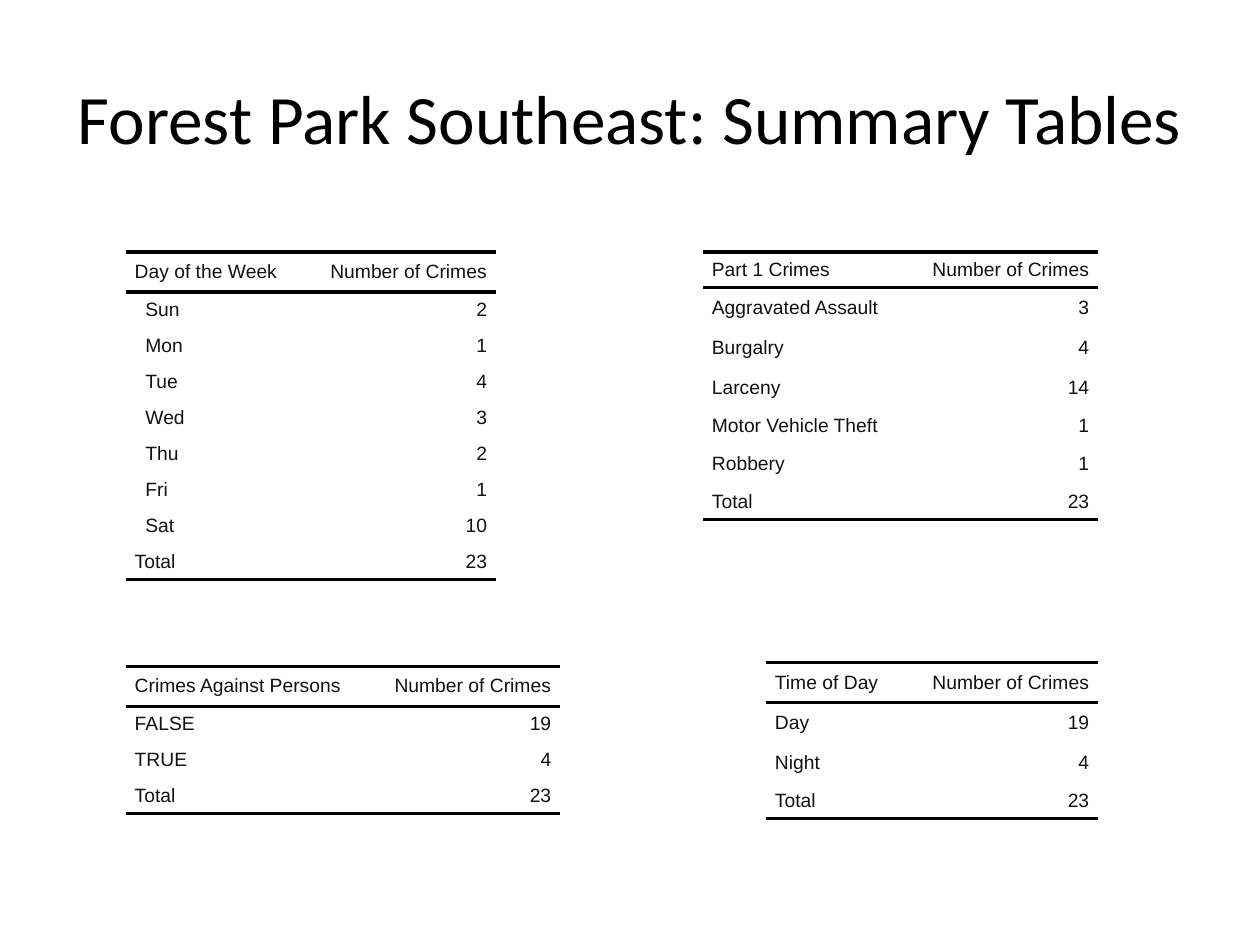
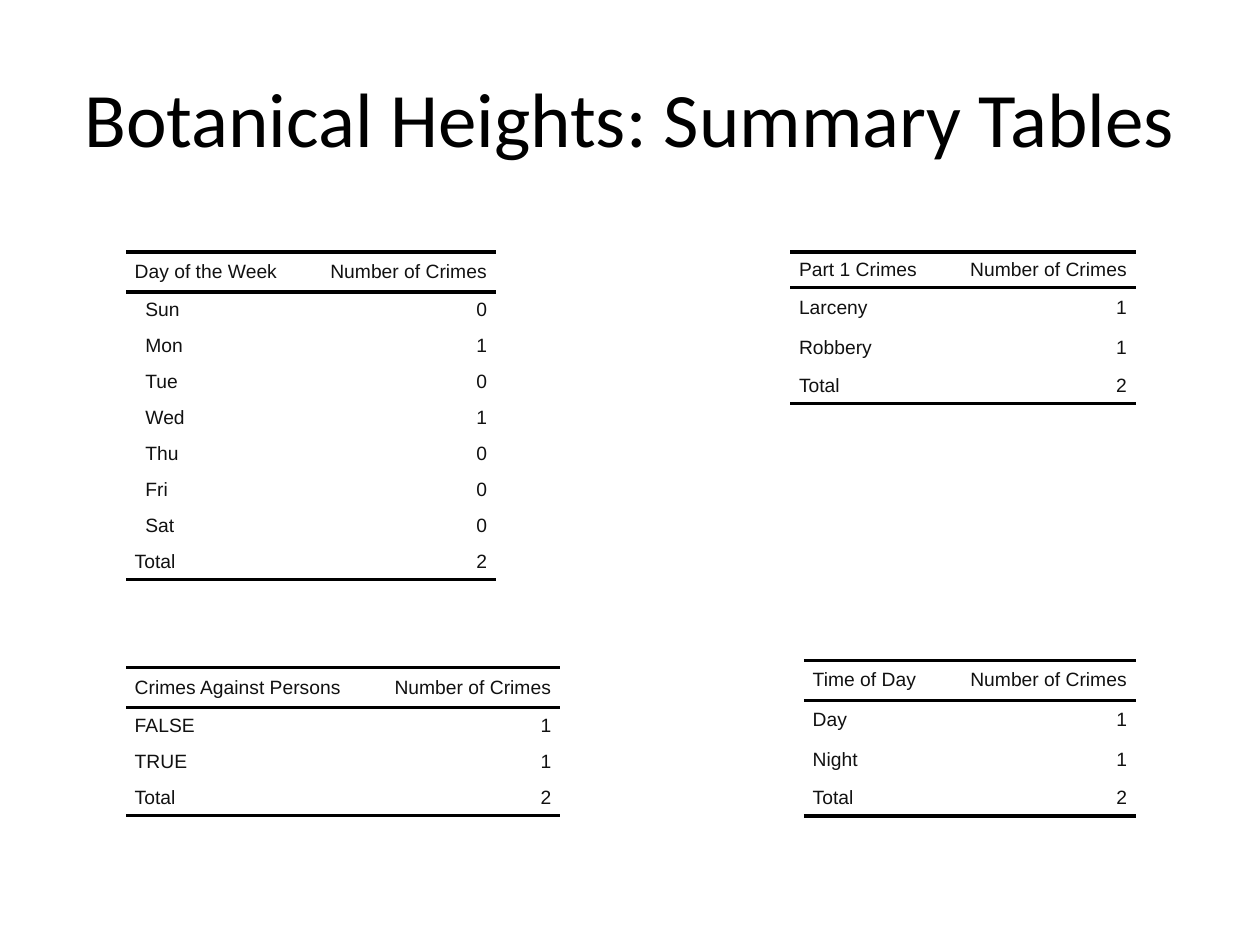
import pptx
import pptx.dml.color
import pptx.enum.text
import pptx.oxml.ns
import pptx.util
from lxml import etree

Pt = pptx.util.Pt
ALIGN = pptx.enum.text.PP_ALIGN
MIDDLE = pptx.enum.text.MSO_ANCHOR.MIDDLE

COLORS = {"title": "000000", "text": "111111", "rule": "000000"}

# Table geometry, in points
COUNT_HEADING = "Number of Crimes"
COUNT_WIDTH = 109.6
TALL_ROW, SHORT_ROW = 22.86, 20.57
TALL_LABELS = {"Day of the Week", "Crimes Against Persons", "Time of Day",
               "Aggravated Assault", "Burgalry", "Larceny", "Robbery",
               "Day", "Night"}
CELL_MARGIN = 5
DAY_INDENT = 6.1
LEFT_EDGE, UPPER_TOP = 72, 144
DAYS = ["Sun", "Mon", "Tue", "Wed", "Thu", "Fri", "Sat"]


class CrimeDeck:
    """Holds the shared style and the slide being filled."""

    def __init__(self):
        self.presentation = pptx.Presentation()
        self.presentation.slide_width = Pt(720)
        self.presentation.slide_height = Pt(540)
        self.slide = None

    def add_slide(self):
        layout = self.presentation.slide_layouts[6]
        self.slide = self.presentation.slides.add_slide(layout)

    def add_text(self, paragraph, text, font, size, color, alignment):
        paragraph.alignment = alignment
        run = paragraph.add_run()
        run.text = text
        run.font.name = font
        run.font.size = Pt(size)
        run.font.color.rgb = pptx.dml.color.RGBColor.from_string(COLORS[color])

    def add_title(self, text, size):
        box = self.slide.shapes.add_textbox(Pt(36), Pt(21.6), Pt(648), Pt(90))
        frame = box.text_frame
        frame.word_wrap = True
        frame.vertical_anchor = MIDDLE
        frame.margin_left = frame.margin_right = 0
        self.add_text(frame.paragraphs[0], text, "Calibri", size, "title", ALIGN.CENTER)

    def set_borders(self, cell, ruled_sides):
        properties = cell._tc.get_or_add_tcPr()
        for side in "LRTB":
            line = etree.SubElement(properties, pptx.oxml.ns.qn(f"a:ln{side}"))
            if side in ruled_sides:
                line.set("w", str(Pt(2)))
                fill = etree.SubElement(line, pptx.oxml.ns.qn("a:solidFill"))
                color = etree.SubElement(fill, pptx.oxml.ns.qn("a:srgbClr"))
                color.set("val", COLORS["rule"])
            else:
                etree.SubElement(line, pptx.oxml.ns.qn("a:noFill"))

    def fill_cell(self, cell, text, ruled_sides, alignment, indent=0):
        cell.margin_top = cell.margin_bottom = 0
        cell.margin_left = Pt(CELL_MARGIN + indent)
        cell.margin_right = Pt(CELL_MARGIN)
        cell.vertical_anchor = MIDDLE
        self.set_borders(cell, ruled_sides)
        cell.fill.background()
        self.add_text(cell.text_frame.paragraphs[0], text, "Arial", 11, "text", alignment)

    def add_count_table(self, heading, counts, label_width, top, right=None):
        """Place a table at the left edge, or ending at the given right edge."""
        rows = [(heading, COUNT_HEADING), *counts.items(),
                ("Total", sum(counts.values()))]
        heights = [TALL_ROW if label in TALL_LABELS else SHORT_ROW
                   for label, _ in rows]
        width = label_width + COUNT_WIDTH
        left = LEFT_EDGE if right is None else right - width
        table = self.slide.shapes.add_table(
            len(rows), 2, Pt(left), Pt(top), Pt(width), Pt(sum(heights))).table
        table.first_row = table.horz_banding = False
        table.columns[0].width = Pt(label_width)
        table.columns[1].width = Pt(COUNT_WIDTH)

        # Rules above and below the heading, and below the total
        ruled = {0: "TB", 1: "T", len(rows) - 1: "B"}
        for index, (label, count) in enumerate(rows):
            table.rows[index].height = Pt(heights[index])
            sides = ruled.get(index, "")
            indent = DAY_INDENT if label in DAYS else 0
            self.fill_cell(table.cell(index, 0), label, sides, ALIGN.LEFT, indent)
            self.fill_cell(table.cell(index, 1), str(count), sides, ALIGN.RIGHT)

    def add_summary(self, title, title_size, right, part_one_width, part_one,
                    by_day, persons, persons_top, by_time, time_top):
        self.add_slide()
        self.add_title(title, title_size)
        self.add_count_table("Part 1 Crimes", part_one, part_one_width,
                             UPPER_TOP, right)
        self.add_count_table("Day of the Week", dict(zip(DAYS, by_day)),
                             101.7, UPPER_TOP)
        self.add_count_table("Crimes Against Persons",
                             dict(zip(["FALSE", "TRUE"], persons)),
                             138.4, persons_top)
        self.add_count_table("Time of Day", dict(zip(["Day", "Night"], by_time)),
                             80, time_top, right)


def main():
    deck = CrimeDeck()

    # Forest Park Southeast
    deck.add_summary(
        "Forest Park Southeast: Summary Tables", 39.6,
        right=627.4, part_one_width=116,
        part_one={"Aggravated Assault": 3, "Burgalry": 4, "Larceny": 14,
                  "Motor Vehicle Theft": 1, "Robbery": 1},
        by_day=[2, 1, 4, 3, 2, 1, 10],
        persons=[19, 4], persons_top=380.6,
        by_time=[19, 4], time_top=378.6)

    # Botanical Heights
    deck.add_summary(
        "Botanical Heights: Summary Tables", 44,
        right=649, part_one_width=87.8,
        part_one={"Larceny": 1, "Robbery": 1},
        by_day=[0, 1, 0, 1, 0, 0, 0],
        persons=[1, 1], persons_top=381.4,
        by_time=[1, 1], time_top=377.2)

    deck.presentation.save("out.pptx")


if __name__ == "__main__":
    main()
